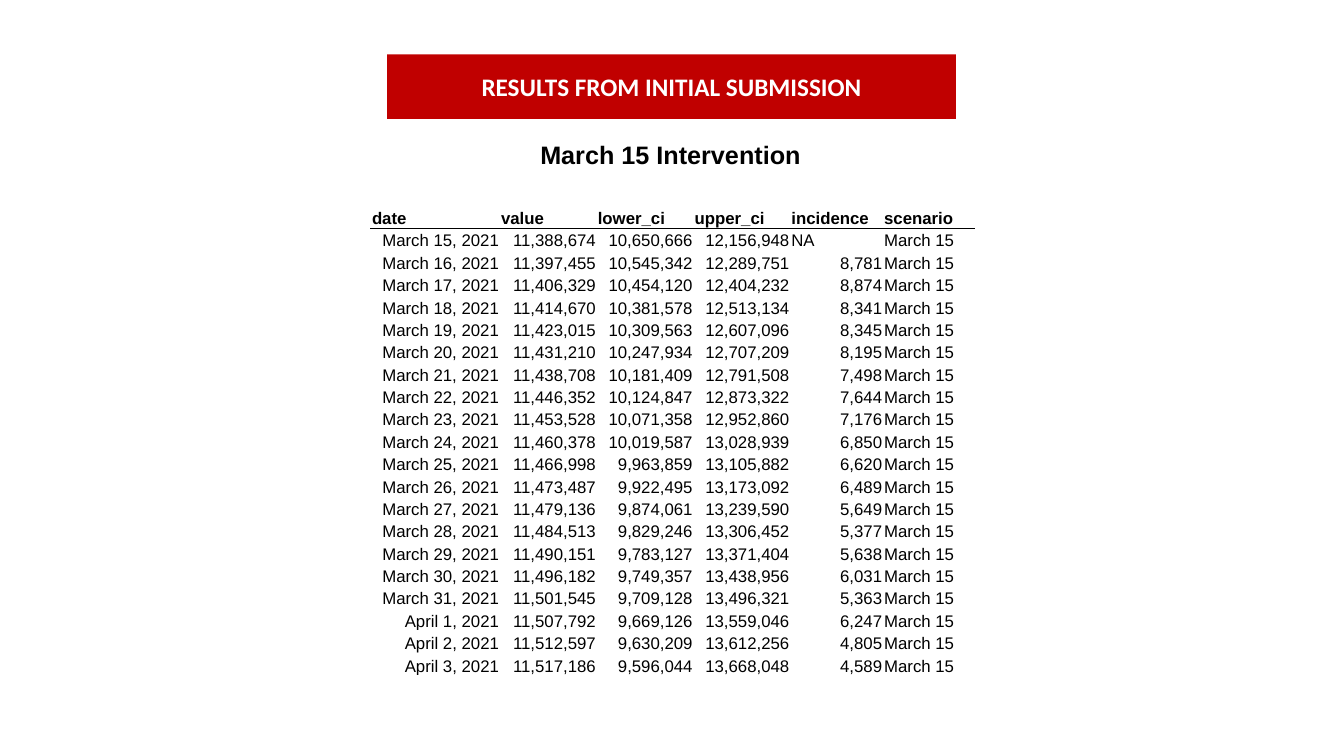
from pptx import Presentation
from pptx.dml.color import RGBColor as Rgb
from pptx.enum.shapes import MSO_SHAPE as Kind
from pptx.enum.text import MSO_ANCHOR as Anchor, MSO_AUTO_SIZE as Auto, PP_ALIGN as Align
from pptx.oxml import parse_xml
from pptx.oxml.ns import nsdecls
from pptx.util import Inches, Pt

HEADS = ["date", "value", "lower_ci", "upper_ci", "incidence", "scenario"]
WIDTHS = [1.28, 0.96, 0.96, 0.96, 0.92, 0.91]
START = 15
DATA = [
    (11388674, 10650666, 12156948),
    (11397455, 10545342, 12289751),
    (11406329, 10454120, 12404232),
    (11414670, 10381578, 12513134),
    (11423015, 10309563, 12607096),
    (11431210, 10247934, 12707209),
    (11438708, 10181409, 12791508),
    (11446352, 10124847, 12873322),
    (11453528, 10071358, 12952860),
    (11460378, 10019587, 13028939),
    (11466998, 9963859, 13105882),
    (11473487, 9922495, 13173092),
    (11479136, 9874061, 13239590),
    (11484513, 9829246, 13306452),
    (11490151, 9783127, 13371404),
    (11496182, 9749357, 13438956),
    (11501545, 9709128, 13496321),
    (11507792, 9669126, 13559046),
    (11512597, 9630209, 13612256),
    (11517186, 9596044, 13668048),
]


def paint(code):
    return Rgb.from_string(code)


def write(frame, text, size=12, font="Arial", color="000000", bold=False, align=Align.LEFT):
    para = frame.paragraphs[0]
    para.alignment = align
    run = para.add_run()
    run.text = text
    run.font.size = Pt(size)
    run.font.name = font
    run.font.bold = bold
    run.font.color.rgb = paint(color)


def get_rows():
    rows = [HEADS]
    last = None
    for day, (value, low, high) in enumerate(DATA, START):
        date = f"March {day}, 2021" if day <= 31 else f"April {day - 31}, 2021"
        cases = "NA" if last is None else f"{value - last:,}"
        rows.append([date, f"{value:,}", f"{low:,}", f"{high:,}", cases, f"March {START}"])
        last = value
    return rows


class Deck:
    ink = "000000"
    red = "C00000"
    white = "FFFFFF"

    def __init__(self, wide, high):
        self.file = Presentation()
        self.file.slide_width = Inches(wide)
        self.file.slide_height = Inches(high)
        self.slide = self.file.slides.add_slide(self.file.slide_layouts[6])

    def banner(self, text, *box):
        shape = self.slide.shapes.add_shape(Kind.RECTANGLE, *map(Inches, box))
        shape.shadow.inherit = False
        shape.fill.solid()
        shape.fill.fore_color.rgb = paint(self.red)
        shape.line.fill.background()
        shape.text_frame.vertical_anchor = Anchor.MIDDLE
        write(shape.text_frame, text, size=18, font="Calibri", color=self.white,
              bold=True, align=Align.CENTER)

    def title(self, text, *box):
        frame = self.slide.shapes.add_textbox(*map(Inches, box)).text_frame
        frame.word_wrap = False
        frame.auto_size = Auto.SHAPE_TO_FIT_TEXT
        write(frame, text, size=18, bold=True)

    def edge(self, cell, tag):
        props = cell._tc.get_or_add_tcPr()
        props.insert(0, parse_xml(
            f'<a:{tag} {nsdecls("a")} w="{Pt(0.5)}"><a:solidFill>'
            f'<a:srgbClr val="{self.ink}"/></a:solidFill></a:{tag}>'))

    def table(self, rows, widths, left, top, high):
        box = map(Inches, (left, top, sum(widths), high))
        table = self.slide.shapes.add_table(len(rows), len(widths), *box).table
        table.first_row = table.horz_banding = False
        for col, wide in zip(table.columns, widths):
            col.width = Inches(wide)
        for i, row in enumerate(rows):
            table.rows[i].height = Inches(high / len(rows))
            for j, text in enumerate(row):
                cell = table.cell(i, j)
                cell.margin_left = cell.margin_right = cell.margin_top = Inches(0.01)
                cell.margin_bottom = 0
                cell.vertical_anchor = Anchor.BOTTOM
                cell.fill.background()
                right = text[-1].isdigit() and j < len(row) - 1
                write(cell.text_frame, text, color=self.ink, bold=i == 0,
                      align=Align.RIGHT if right else Align.LEFT)
                if i < 2:
                    self.edge(cell, "lnT" if i else "lnB")

    def save(self):
        self.file.save("out.pptx")


def main():
    deck = Deck(13.33, 7.5)
    deck.table(get_rows(), WIDTHS, 3.68, 2.04, 4.67)
    deck.title("March 15 Intervention", 5.26, 1.33, 2.81, 0.4)
    deck.banner("RESULTS FROM INITIAL SUBMISSION", 3.84, 0.54, 5.64, 0.64)
    deck.save()


if __name__ == "__main__":
    main()
